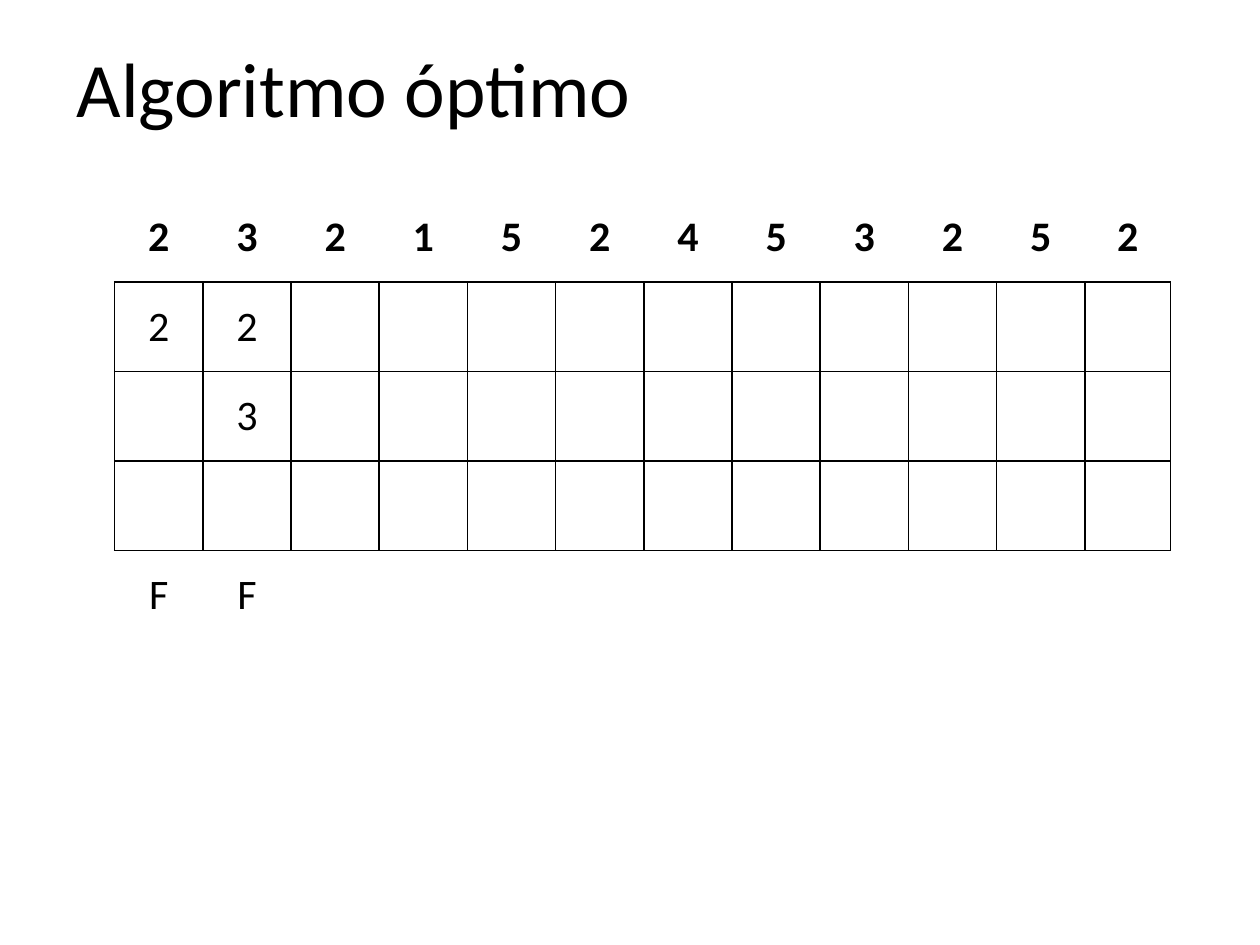
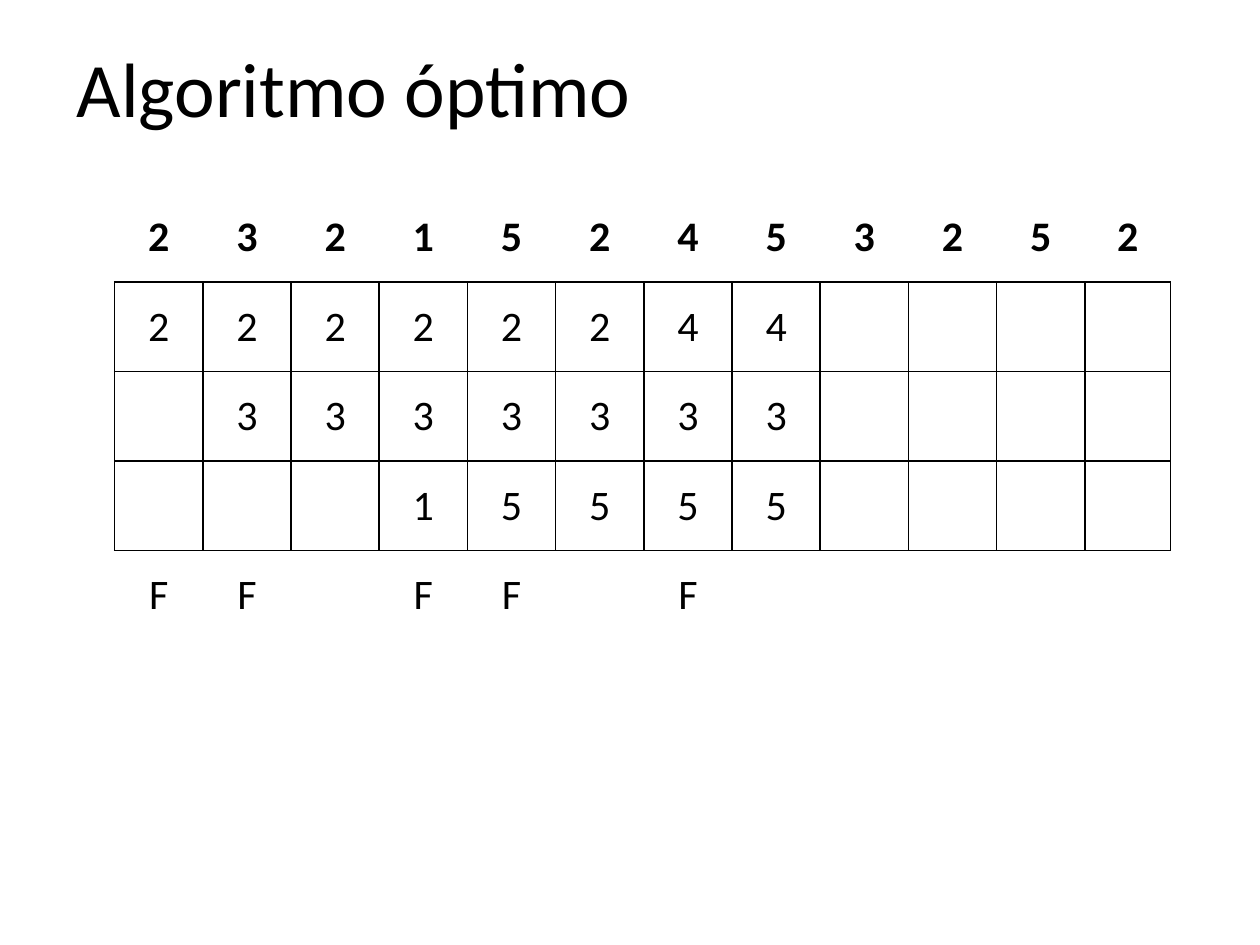
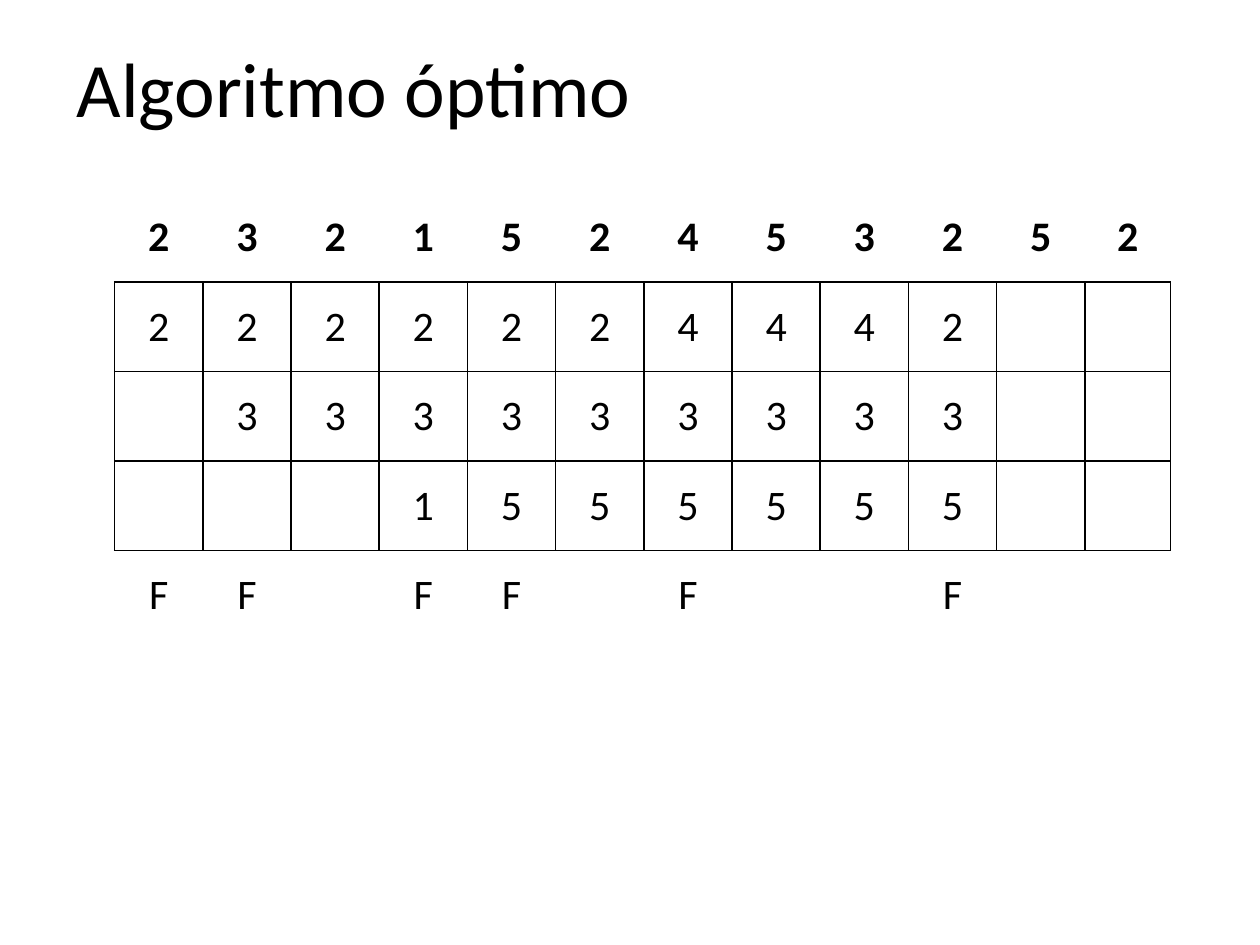
"""Three steps of the optimal page replacement algorithm on one reference string."""
from dataclasses import dataclass

from lxml import etree
from pptx import Presentation
from pptx import util as u
from pptx.dml.color import RGBColor
from pptx.enum import text
from pptx.oxml.ns import qn


@dataclass(frozen=True)
class Theme:
    ink: str = "000000"
    paper: str = "FFFFFF"
    font: str = "Calibri"
    title_size: int = 44
    page_size: int = 24
    rule_width: int = 1


theme = Theme()
requests = "232152453252"
frames = ["2222224442", " 333333333", "   1555555"]
faults = "FF FF F  F"
steps_shown = [2, 8, 10]
column_widths = [0.7] * 11 + [0.68]
row_height = 0.71


def style_runs(paragraph, size, bold=False):
    for run in paragraph.runs:
        run.font.name = theme.font
        run.font.size = u.Pt(size)
        run.font.bold = bold
        run.font.color.rgb = RGBColor.from_string(theme.ink)


def rule_cell(cell, ruled_sides):
    properties = cell._tc.get_or_add_tcPr()
    for side in "LRTB":
        rule = etree.SubElement(properties, qn(f"a:ln{side}"), w=str(u.Pt(theme.rule_width)))
        if side in ruled_sides:
            ink = etree.SubElement(rule, qn("a:solidFill"))
            etree.SubElement(ink, qn("a:srgbClr"), val=theme.ink)
        else:
            etree.SubElement(rule, qn("a:noFill"))


deck = Presentation()
deck.slide_width = u.Inches(10)
deck.slide_height = u.Inches(7.5)

for steps in steps_shown:
    slide = deck.slides.add_slide(deck.slide_layouts[6])
    slide.background.fill.solid()
    slide.background.fill.fore_color.rgb = RGBColor.from_string(theme.paper)

    title = slide.shapes.add_textbox(
        u.Inches(0.51), u.Inches(0.29), u.Inches(4.96), u.Inches(0.79)).text_frame
    title.word_wrap = True
    title.vertical_anchor = text.MSO_ANCHOR.MIDDLE
    title.text = "Algoritmo óptimo"
    style_runs(title.paragraphs[0], theme.title_size)

    history = [requests] + [pages[:steps] for pages in frames + [faults]]
    memory = slide.shapes.add_table(
        len(history), len(requests), u.Inches(0.91), u.Inches(1.53),
        u.Inches(sum(column_widths)), u.Inches(row_height * len(history))).table
    memory.first_row = False
    memory.horz_banding = False
    for column, width in zip(memory.columns, column_widths):
        column.width = u.Inches(width)

    for row_index, pages in enumerate(history):
        memory.rows[row_index].height = u.Inches(row_height)
        is_request = row_index == 0
        is_fault = row_index == len(history) - 1
        ruled_sides = "B" if is_request else "T" if is_fault else "LRTB"
        for column_index, page in enumerate(pages.ljust(len(requests))):
            cell = memory.cell(row_index, column_index)
            rule_cell(cell, ruled_sides)
            cell.fill.background()
            cell.vertical_anchor = text.MSO_ANCHOR.MIDDLE
            cell.text_frame.text = page.strip()
            entry = cell.text_frame.paragraphs[0]
            entry.alignment = text.PP_ALIGN.CENTER
            style_runs(entry, theme.page_size, bold=is_request)

deck.save("out.pptx")
